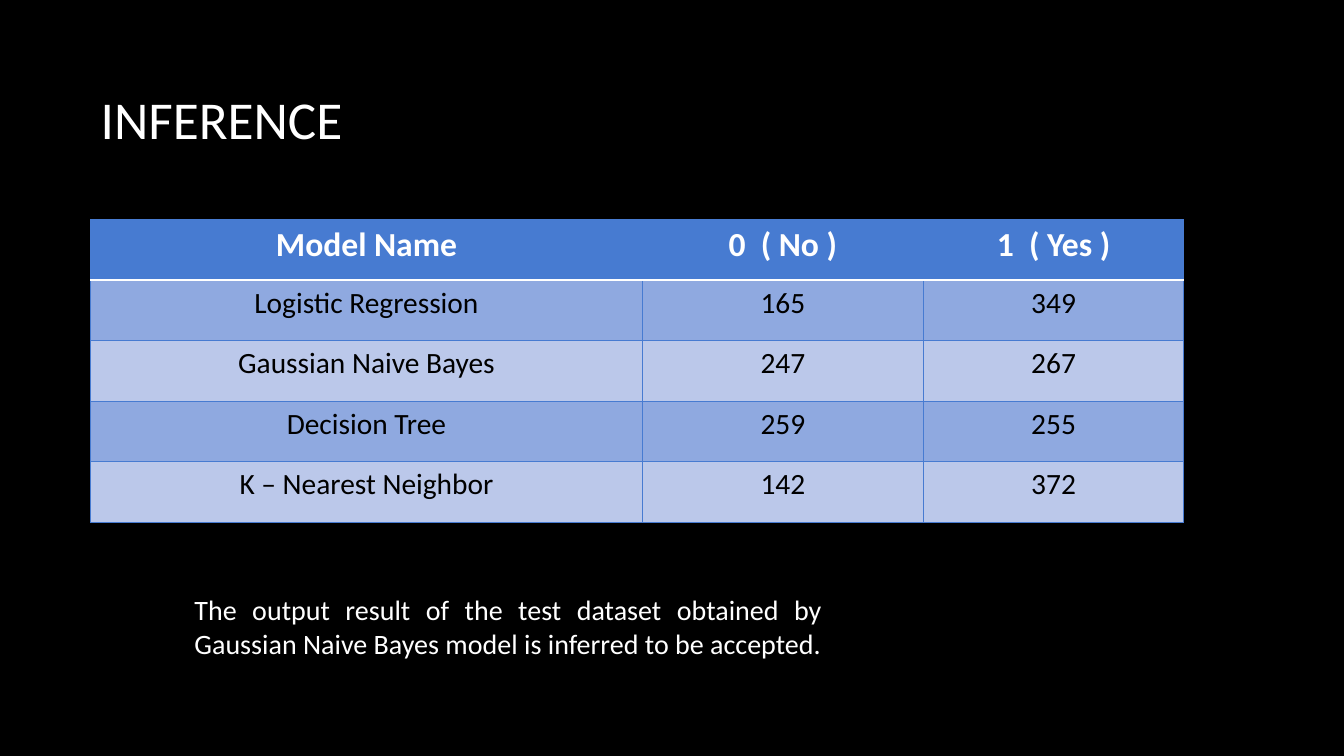
from dataclasses import dataclass

from lxml.etree import SubElement
from pptx import Presentation
from pptx.dml.color import RGBColor
from pptx.enum.text import MSO_ANCHOR, PP_ALIGN
from pptx.oxml.ns import qn
from pptx.util import Inches, Pt


@dataclass(frozen=True)
class Theme:
    font: str = "Calibri"
    background: str = "000000"
    light: str = "FFFFFF"
    dark: str = "000000"
    accent: str = "477BD1"
    bands: tuple = ("8FA9E0", "BBC8EA")
    title_size: int = 38
    header_size: int = 24
    body_size: int = 21
    note_size: int = 20
    grid_line: float = 0.75
    header_line: float = 1.5


theme = Theme()


def write(frame, text, size, color=theme.light, bold=False,
          align=PP_ALIGN.LEFT, anchor=MSO_ANCHOR.TOP):
    frame.word_wrap = True
    frame.vertical_anchor = anchor
    paragraph = frame.paragraphs[0]
    paragraph.alignment = align
    run = paragraph.add_run()
    run.text = text
    run.font.name = theme.font
    run.font.size = Pt(size)
    run.font.bold = bold
    run.font.color.rgb = RGBColor.from_string(color)


def draw_border(cell, side, color, width):
    line = SubElement(cell._tc.get_or_add_tcPr(), qn(f"a:ln{side}"), w=str(Pt(width)))
    fill = SubElement(line, qn("a:solidFill"))
    SubElement(fill, qn("a:srgbClr"), val=color)


deck = Presentation()
deck.slide_width = Inches(13.33)
deck.slide_height = Inches(7.5)
slide = deck.slides.add_slide(deck.slide_layouts[6])
slide.background.fill.solid()
slide.background.fill.fore_color.rgb = RGBColor.from_string(theme.background)

left_margin = Inches(0.9)
heading = slide.shapes.add_textbox(left_margin, Inches(0.38), Inches(9.91), Inches(1.59))
write(heading.text_frame, "INFERENCE", theme.title_size, anchor=MSO_ANCHOR.MIDDLE)

predictions = [
    ("Model Name", "0  ( No )", "1  ( Yes )"),
    ("Logistic Regression", "165", "349"),
    ("Gaussian Naive Bayes", "247", "267"),
    ("Decision Tree", "259", "255"),
    ("K – Nearest Neighbor", "142", "372"),
]
column_widths = [Inches(5.47), Inches(2.79), Inches(2.58)]
row_height = Inches(0.6)
results = slide.shapes.add_table(
    len(predictions), len(column_widths), left_margin, Inches(2.18),
    sum(column_widths), row_height * len(predictions)).table

for column, width in zip(results.columns, column_widths):
    column.width = width

for row, values in enumerate(predictions):
    results.rows[row].height = row_height
    is_header = row == 0
    header_edge = "B" if is_header else "T" if row == 1 else None
    for column, value in enumerate(values):
        cell = results.cell(row, column)
        for side in "LRTB":
            if side == header_edge:
                draw_border(cell, side, theme.light, theme.header_line)
            else:
                draw_border(cell, side, theme.accent, theme.grid_line)
        cell.fill.solid()
        cell.fill.fore_color.rgb = RGBColor.from_string(
            theme.accent if is_header else theme.bands[(row - 1) % 2])
        write(cell.text_frame, value,
              theme.header_size if is_header else theme.body_size,
              color=theme.light if is_header else theme.dark,
              bold=is_header, align=PP_ALIGN.CENTER)

conclusion = slide.shapes.add_textbox(Inches(1.83), Inches(5.83), Inches(6.42), Inches(0.77))
write(conclusion.text_frame,
      "The output result of the test dataset obtained by Gaussian Naive Bayes "
      "model is inferred to be accepted.",
      theme.note_size, align=PP_ALIGN.JUSTIFY)

deck.save("out.pptx")
